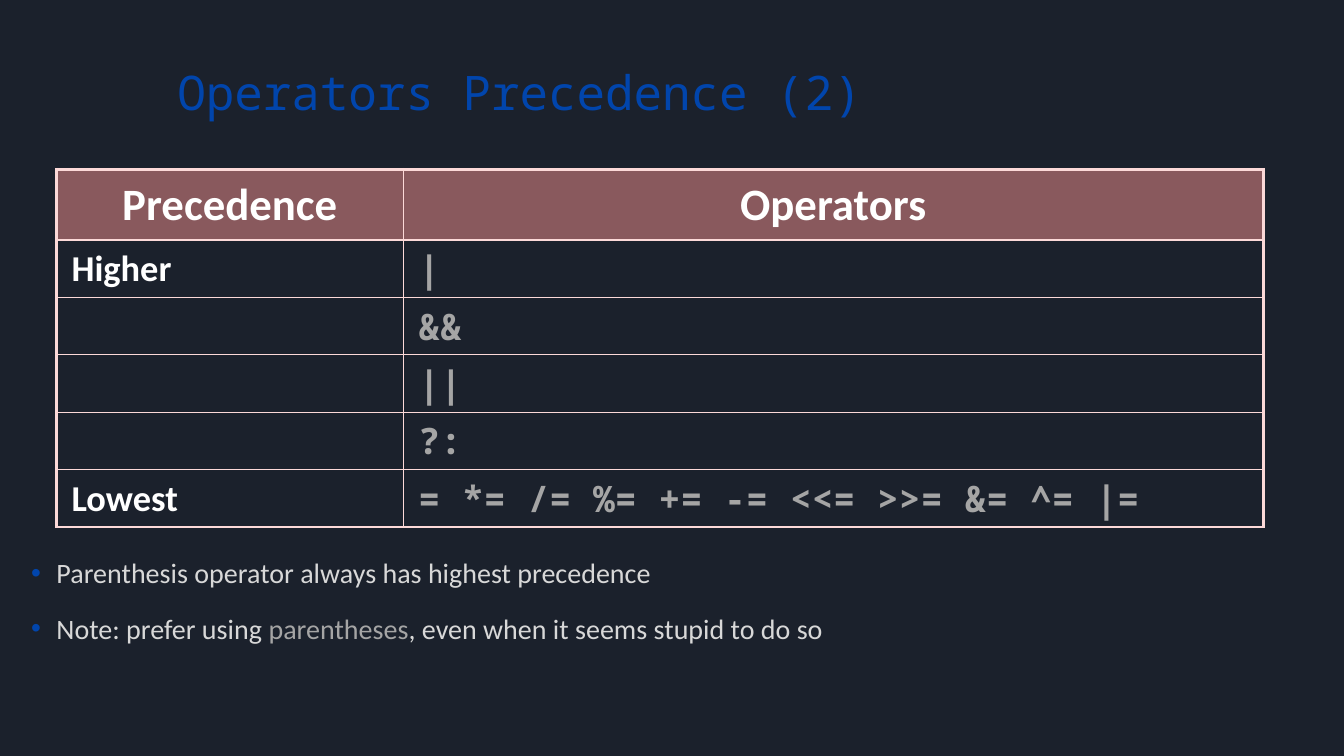
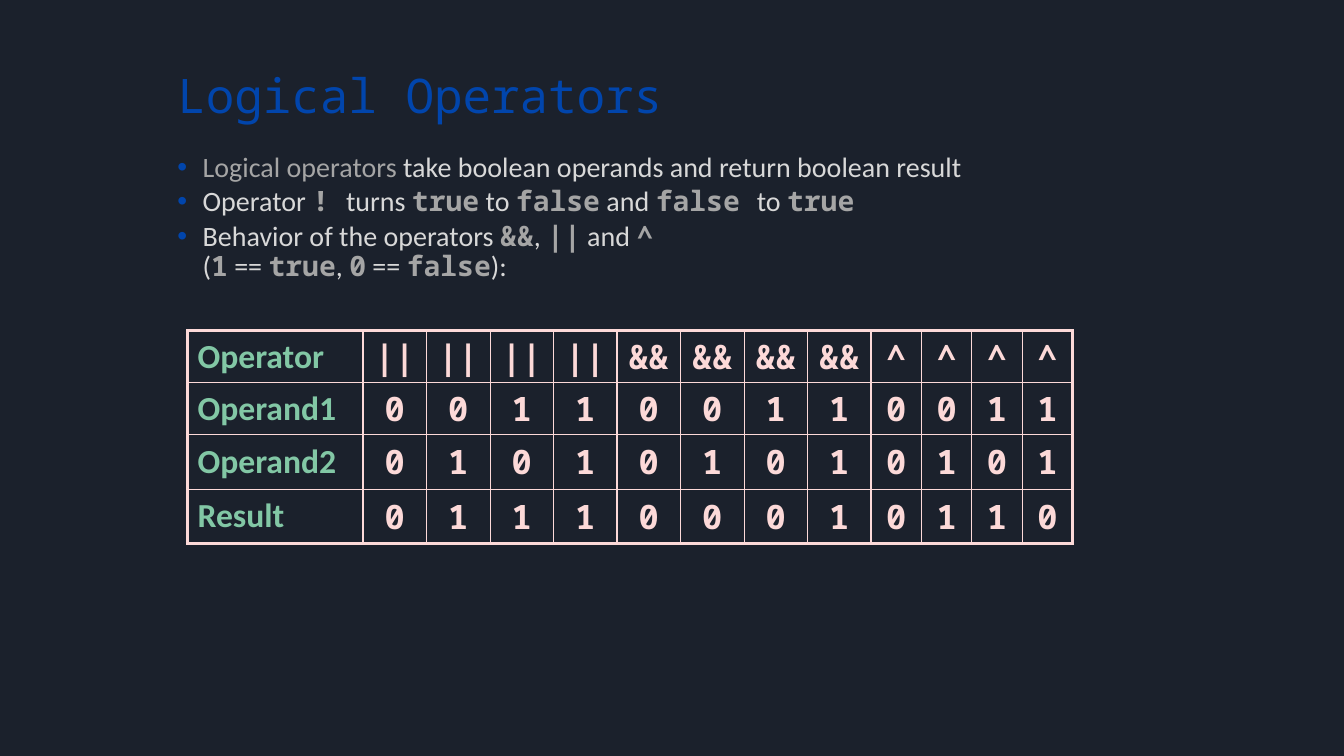
import itertools

import pptx
import pptx.dml.color
import pptx.enum.text
import pptx.oxml
import pptx.oxml.ns
import pptx.util

Inches, Pt = pptx.util.Inches, pptx.util.Pt
PP_ALIGN, MSO_ANCHOR = pptx.enum.text.PP_ALIGN, pptx.enum.text.MSO_ANCHOR
qn = pptx.oxml.ns.qn
NAMESPACES = pptx.oxml.ns.nsdecls("a")

COLORS = {
    "background": "1B212C",
    "blue": "0145AC",
    "text": "D8D8D8",
    "accent": "A5A5A5",
    "white": "FFFFFF",
    "green": "82C7A5",
    "pink": "FCD9D8",
    "header": "F8928E",
}
SANS, MONO = "Calibri", "Noto Sans Mono"

RUN_FORMATS = {
    "term": {"color": "accent"},
    "code": {"color": "accent", "name": MONO, "bold": True},
}

WIDE_INSETS = (0.15, 0.05)
CELL_FORMATS = {
    "header": {"font": {"name": SANS, "size": Pt(32), "color": "white"},
               "align": PP_ALIGN.CENTER, "insets": WIDE_INSETS, "fill": "header"},
    "level": {"font": {"name": SANS, "size": Pt(26), "color": "white"},
              "align": PP_ALIGN.LEFT, "insets": WIDE_INSETS},
    "operators": {"font": {"name": MONO, "size": Pt(26), "color": "accent"},
                  "align": PP_ALIGN.LEFT, "insets": WIDE_INSETS,
                  "anchor": MSO_ANCHOR.TOP},
    "row label": {"font": {"name": SANS, "size": Pt(24), "color": "green"},
                  "align": PP_ALIGN.LEFT, "insets": (0.1, 0.05)},
    "bit": {"font": {"name": MONO, "size": Pt(24), "color": "pink"},
            "align": PP_ALIGN.CENTER, "insets": (0.04, 0.04)},
}

TITLE_LEVEL = f"""<a:lvl1pPr {NAMESPACES} algn="l">
  <a:lnSpc><a:spcPct val="90000"/></a:lnSpc>
  <a:spcBef><a:spcPts val="0"/></a:spcBef><a:buNone/>
  <a:defRPr sz="3400"><a:solidFill><a:srgbClr val="{COLORS['blue']}"/></a:solidFill>
    <a:latin typeface="{MONO}"/></a:defRPr>
</a:lvl1pPr>"""
BODY_LEVEL = f"""<a:lvl1pPr {NAMESPACES} algn="l" marL="{Inches(0.25)}" indent="{Inches(-0.25)}">
  <a:lnSpc><a:spcPct val="90000"/></a:lnSpc>
  <a:spcBef><a:spcPts val="0"/></a:spcBef>
  <a:buClr><a:srgbClr val="{COLORS['blue']}"/></a:buClr>
  <a:buFont typeface="Arial"/><a:buChar char="•"/>
  <a:defRPr sz="2000"><a:solidFill><a:srgbClr val="{COLORS['text']}"/></a:solidFill>
    <a:latin typeface="{SANS}"/></a:defRPr>
</a:lvl1pPr>"""


def rgb(name):
    return pptx.dml.color.RGBColor.from_string(COLORS[name])


def format_font(font, values):
    for attribute, value in values.items():
        if attribute == "color":
            font.color.rgb = rgb(value)
        else:
            setattr(font, attribute, value)


def style_master(master):
    """Set the background and the title and list styles all slides share."""
    master.background.fill.solid()
    master.background.fill.fore_color.rgb = rgb("background")
    styles = master.element.find(qn("p:txStyles"))
    for style_tag, level in (("p:titleStyle", TITLE_LEVEL), ("p:bodyStyle", BODY_LEVEL)):
        style = styles.find(qn(style_tag))
        style.replace(style.find(qn("a:lvl1pPr")), pptx.oxml.parse_xml(level))


def place(shape, box):
    for attribute, value in zip(("left", "top", "width", "height"), box):
        setattr(shape, attribute, Inches(value))


def set_title(slide, text, box):
    title = slide.shapes.title
    place(title, box)
    title.text_frame.text = text
    title.text_frame.vertical_anchor = MSO_ANCHOR.BOTTOM
    title.text_frame.auto_size = pptx.enum.text.MSO_AUTO_SIZE.NONE


def set_bullets(slide, bullets, space_before, box):
    """Fill the list; in each bullet, backticks enclose runs in its accent style."""
    body = slide.placeholders[1]
    place(body, box)
    frame = body.text_frame
    frame.auto_size = pptx.enum.text.MSO_AUTO_SIZE.NONE
    for index, (accent, text) in enumerate(bullets):
        paragraph = frame.add_paragraph() if index else frame.paragraphs[0]
        if index:
            paragraph.space_before = Pt(space_before)
        for line_index, line in enumerate(text.split("\n")):
            if line_index:
                paragraph.add_line_break()
            for piece_index, piece in enumerate(line.split("`")):
                if not piece:
                    continue
                run = paragraph.add_run()
                run.text = piece
                if piece_index % 2:
                    format_font(run.font, RUN_FORMATS[accent])


def fill_cell(cell, text, style):
    values = CELL_FORMATS[style]
    horizontal, vertical = values["insets"]
    cell.margin_left = cell.margin_right = Inches(horizontal)
    cell.margin_top = cell.margin_bottom = Inches(vertical)
    cell.vertical_anchor = values.get("anchor", MSO_ANCHOR.MIDDLE)
    if "fill" in values:
        cell.fill.solid()
        cell.fill.fore_color.rgb = rgb(values["fill"])
        color = next(cell._tc.tcPr.iter(qn("a:srgbClr")))
        color.append(pptx.oxml.parse_xml(f'<a:alpha {NAMESPACES} val="50000"/>'))
    else:
        cell.fill.background()
    paragraph = cell.text_frame.paragraphs[0]
    paragraph.alignment = values["align"]
    paragraph.line_spacing = 0.95
    if text:
        run = paragraph.add_run()
        run.text = text
        format_font(run.font, {"bold": True, **values["font"]})


def set_borders(cell, widths):
    """Draw the left, right, top and bottom borders, with widths in points."""
    for index, (side, width) in enumerate(zip("LRTB", widths)):
        cell._tc.tcPr.insert(index, pptx.oxml.parse_xml(
            f'<a:ln{side} {NAMESPACES} w="{Pt(width)}"><a:solidFill>'
            f'<a:srgbClr val="{COLORS["pink"]}"/></a:solidFill></a:ln{side}>'))


def add_grid(slide, rows, style_of, position, widths, heights, thin, heavy_columns, heavy_rows):
    """Add a table whose edges and listed inner boundaries have heavy lines."""
    left, top = position
    table = slide.shapes.add_table(
        len(rows), len(widths), Inches(left), Inches(top),
        Inches(sum(widths)), Inches(sum(heights))).table
    table.first_row = table.horz_banding = False
    for column, width in zip(table.columns, widths):
        column.width = Inches(width)
    for row, height in zip(table.rows, heights):
        row.height = Inches(height)
    heavy_columns = {0, len(widths), *heavy_columns}
    heavy_rows = {0, len(rows), *heavy_rows}

    def line_width(boundary, heavy):
        return 2.25 if boundary in heavy else thin

    for row, texts in enumerate(rows):
        for column, text in enumerate(texts):
            cell = table.cell(row, column)
            fill_cell(cell, text, style_of(row, column))
            set_borders(cell, [line_width(column, heavy_columns),
                               line_width(column + 1, heavy_columns),
                               line_width(row, heavy_rows),
                               line_width(row + 1, heavy_rows)])


def add_precedence_table(slide, position):
    rows = [
        ("Precedence", "Operators"),
        ("Higher", "|"),
        ("", "&&"),
        ("", "||"),
        ("", "?:"),
        ("Lowest", "= *= /= %= += -= <<= >>= &= ^= |="),
    ]

    def style_of(row, column):
        return "header" if row == 0 else ("level", "operators")[column]

    add_grid(slide, rows, style_of, position, widths=[3.44, 8.53],
             heights=[0.7] + [0.57] * 5, thin=1, heavy_columns=[], heavy_rows=[1])


def add_truth_table(slide, position):
    operators = {
        "||": lambda first, second: first | second,
        "&&": lambda first, second: first & second,
        "^": lambda first, second: first ^ second,
    }
    columns = [("Operator", "Operand1", "Operand2", "Result")]
    for symbol, function in operators.items():
        for first, second in itertools.product((0, 1), repeat=2):
            columns.append((symbol, str(first), str(second), str(function(first, second))))

    def style_of(row, column):
        return "bit" if column else "row label"

    add_grid(slide, list(zip(*columns)), style_of, position,
             widths=[1.74] + [0.63] * 8 + [0.5] * 4, heights=[0.51, 0.52, 0.54, 0.54],
             thin=0.75, heavy_columns=[1, 5, 9], heavy_rows=[])


def build_precedence_slide(slide):
    set_title(slide, "Operators Precedence (2)", (1.66, 0, 10, 1.25))
    set_bullets(slide, [
        ("term", "Parenthesis operator always has highest precedence"),
        ("term", "Note: prefer using `parentheses`, even when it seems stupid to do so"),
    ], 18, (0.21, 5.5, 12.91, 1.85))
    add_precedence_table(slide, (0.56, 1.68))


def build_logical_slide(slide):
    set_title(slide, "Logical Operators", (1.66, 0.03, 10, 1.25))
    set_bullets(slide, [
        ("term", "`Logical operators `take boolean operands and return boolean result"),
        ("code", "Operator `! `turns `true` to `false` and `false `to `true`"),
        ("code", "Behavior of the operators `&&`, `||` and `^ `\n"
                 "(`1` == `true`, `0` == `false`):"),
    ], 3, (1.66, 1.47, 11.46, 5.88))
    add_truth_table(slide, (1.86, 3.28))


def main():
    presentation = pptx.Presentation()
    presentation.slide_width = Inches(13.33)
    presentation.slide_height = Inches(7.5)
    style_master(presentation.slide_master)
    for build in (build_precedence_slide, build_logical_slide):
        build(presentation.slides.add_slide(presentation.slide_layouts[1]))
    presentation.save("out.pptx")


if __name__ == "__main__":
    main()
